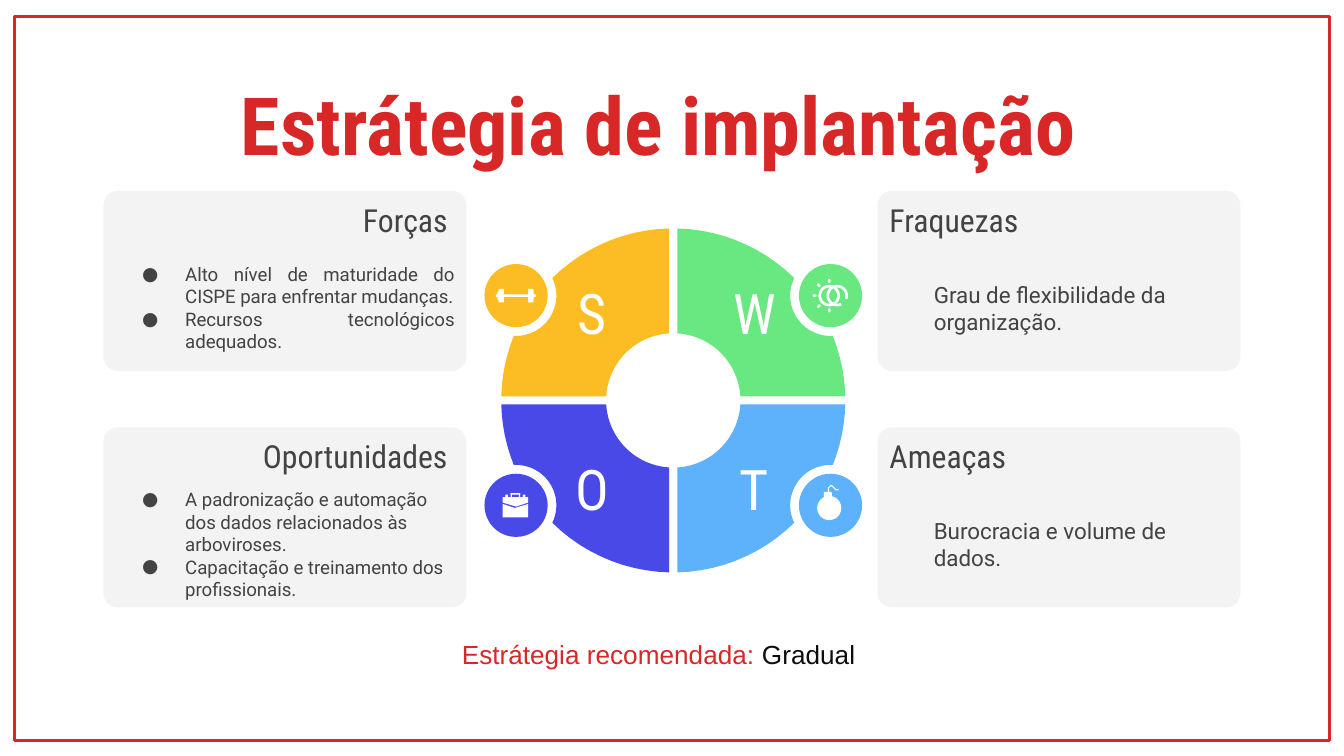
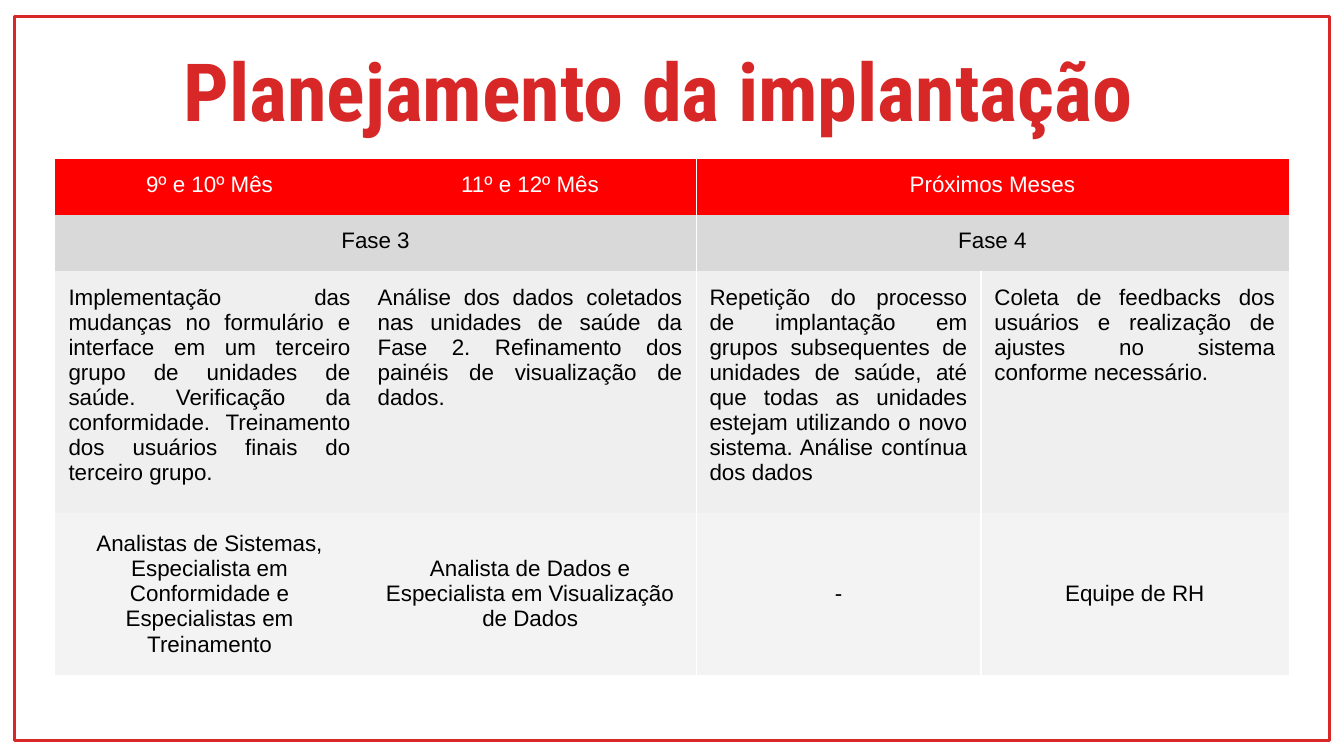
import math
from lxml import etree
from pptx import Presentation
from pptx.dml.color import RGBColor
from pptx.enum import shapes, text
from pptx.oxml import ns
from pptx.util import Inches, Pt

COLORS = {
    "red": "D82727", "header": "FF0000", "phase": "D9D9D9", "task": "EFEFEF",
    "panel": "F3F3F3", "ink": "434343", "dark": "0D0D0D", "black": "000000",
    "white": "FFFFFF", "yellow": "FCBD24", "green": "69E781",
    "indigo": "4949E7", "blue": "5EB2FC",
}
HEAD, BODY, PLAIN = "Roboto Condensed", "Roboto", "Arial"
AL, MID = text.PP_ALIGN, text.MSO_ANCHOR.MIDDLE
SHAPE = shapes.MSO_SHAPE

# letter, colour, side (-1 left, 1 right), level (1 top, -1 bottom), heading, lines, alignment
SWOT = [
    ("T", "blue", 1, -1, "Ameaças", ["Burocracia e volume de dados."], AL.LEFT),
    ("W", "green", 1, 1, "Fraquezas", ["Grau de flexibilidade da organização."], AL.LEFT),
    ("O", "indigo", -1, -1, "Oportunidades",
     ["A padronização e automação dos dados relacionados às arboviroses.",
      "Capacitação e treinamento dos profissionais."], AL.LEFT),
    ("S", "yellow", -1, 1, "Forças",
     ["Alto nível de maturidade do CISPE para enfrentar mudanças.",
      "Recursos tecnológicos adequados."], AL.JUSTIFY),
]
STRATEGY = [("Estrátegia recomendada: ", "red"), ("Gradual", "dark")]

# fill, font colour, alignment, anchor, cells as (text, columns spanned)
PLAN = [
    ("header", "white", AL.CENTER, None,
     [("9º e 10º Mês", 1), ("11º e 12º Mês", 1), ("Próximos Meses", 2)]),
    ("phase", "black", AL.CENTER, None, [("Fase 3", 2), ("Fase 4", 2)]),
    ("task", "black", AL.JUSTIFY, None, [
        ("Implementação das mudanças no formulário e interface em um terceiro grupo de "
         "unidades de saúde. Verificação da conformidade. Treinamento dos usuários finais "
         "do terceiro grupo.", 1),
        ("Análise dos dados coletados nas unidades de saúde da Fase 2. Refinamento dos "
         "painéis de visualização de dados.", 1),
        ("Repetição do processo de implantação em grupos subsequentes de unidades de saúde, "
         "até que todas as unidades estejam utilizando o novo sistema. Análise contínua "
         "dos dados", 1),
        ("Coleta de feedbacks dos usuários e realização de ajustes no sistema conforme "
         "necessário.", 1)]),
    ("panel", "black", AL.CENTER, MID, [
        ("Analistas de Sistemas, Especialista em Conformidade e Especialistas em "
         "Treinamento", 1),
        ("Analista de Dados e Especialista em Visualização de Dados", 1),
        ("-", 1), ("Equipe de RH", 1)]),
]
PLAN_COLS, PLAN_ROW = [2.3, 2.47, 2.12, 2.29], 0.42

# ring geometry: centre, radii, half gap, and the badge offset from the centre
CX, CY = 5.01, 2.98
OUTER, INNER, HALF_GAP = 1.28, 0.5, 0.03
BADGE_X, BADGE_Y, BADGE_SIZE, NOTCH = 1.17, 0.78, 0.47, 0.3

DUMBBELL = [(3.69, 2.19, 0.3, 0.02), (3.71, 2.15, 0.04, 0.1), (3.93, 2.15, 0.04, 0.1),
            (3.7, 2.17, 0.02, 0.06), (3.95, 2.17, 0.02, 0.06)]
CASE_HANDLE = [(3.8, 3.67, 0.07, 0.01), (3.8, 3.67, 0.01, 0.04), (3.86, 3.67, 0.01, 0.04),
               (3.76, 3.68, 0.02, 0.03), (3.89, 3.68, 0.02, 0.03)]
CASE_LID = [(3.74, 3.7), (3.93, 3.7), (3.93, 3.74), (3.84, 3.77), (3.74, 3.74)]
CASE_BODY = [(3.74, 3.75), (3.83, 3.78), (3.93, 3.75), (3.93, 3.85), (3.74, 3.85)]
BOMB_FUSE = [(6.16, 3.66), (6.16, 3.63), (6.18, 3.61), (6.19, 3.61), (6.21, 3.63),
             (6.22, 3.64), (6.24, 3.64), (6.24, 3.65), (6.22, 3.65), (6.2, 3.63),
             (6.19, 3.62), (6.18, 3.62), (6.17, 3.63), (6.17, 3.66)]


def rgb(name):
    return RGBColor.from_string(COLORS[name])


def paint(sp, fill):
    sp.shadow.inherit = False
    sp.fill.solid()
    sp.fill.fore_color.rgb = rgb(fill)
    sp.line.fill.background()
    return sp


def add_preset(s, kind, x, y, w, h, fill):
    return paint(s.shapes.add_shape(kind, Inches(x), Inches(y), Inches(w), Inches(h)), fill)


def add_polygon(s, points, fill):
    pts = [(Inches(x), Inches(y)) for x, y in points]
    builder = s.shapes.build_freeform(*pts[0])
    builder.add_line_segments(pts[1:], close=True)
    return paint(builder.convert_to_shape(), fill)


def arc(x, y, radius, start, end):
    """Points along an arc, in degrees counted counterclockwise with y upward."""
    steps = max(2, math.ceil(abs(end - start) / 4))
    angles = [math.radians(start + (end - start) * i / steps) for i in range(steps + 1)]
    return [(x + radius * math.cos(a), y + radius * math.sin(a)) for a in angles]


def add_run(p, words, size, font, color, bold=False):
    r = p.add_run()
    r.text = words
    r.font.size, r.font.name, r.font.bold = Pt(size), font, bold
    r.font.color.rgb = rgb(color)


def set_frame(tf, anchor=None, left=0.1, right=0.1):
    tf.word_wrap = True
    tf.margin_top = tf.margin_bottom = Inches(0.1)
    tf.margin_left, tf.margin_right = Inches(left), Inches(right)
    tf.vertical_anchor = anchor or text.MSO_ANCHOR.TOP
    return tf


def add_text(s, x, y, w, h, anchor=None):
    box = s.shapes.add_textbox(Inches(x), Inches(y), Inches(w), Inches(h))
    return set_frame(box.text_frame, anchor)


def add_bullet(p, color, size):
    pPr = p._p.get_or_add_pPr()
    pPr.set("marL", str(Inches(0.5)))
    pPr.set("indent", str(Inches(-0.32)))
    clr = etree.SubElement(pPr, ns.qn("a:buClr"))
    etree.SubElement(clr, ns.qn("a:srgbClr"), val=COLORS[color])
    etree.SubElement(pPr, ns.qn("a:buSzPts"), val=str(size * 100))
    etree.SubElement(pPr, ns.qn("a:buFont"), typeface=BODY)
    etree.SubElement(pPr, ns.qn("a:buChar"), char="●")


def new_slide(prs, title, title_top):
    s = prs.slides.add_slide(prs.slide_layouts[6])
    frame = add_preset(s, SHAPE.RECTANGLE, 0.11, 0.12, 9.78, 5.39, "white")
    frame.fill.background()
    frame.line.color.rgb, frame.line.width = rgb("red"), Pt(1.5)
    p = add_text(s, 0.68, title_top, 8.43, 0.77).paragraphs[0]
    p.alignment, p.line_spacing = AL.CENTER, 1.15
    add_run(p, title, 43, HEAD, "red", True)
    return s


def quadrant_points(side, level):
    """Outline of a ring quarter with a round notch for its badge."""
    reach = math.hypot(BADGE_X, BADGE_Y)
    aim = math.degrees(math.atan2(BADGE_Y, BADGE_X))
    half = math.degrees(math.acos((OUTER**2 + reach**2 - NOTCH**2) / (2 * OUTER * reach)))
    bite = 180 - math.degrees(math.acos((reach**2 + NOTCH**2 - OUTER**2) / (2 * reach * NOTCH)))
    out_edge, in_edge = (math.degrees(math.asin(HALF_GAP / r)) for r in (OUTER, INNER))
    local = (arc(0, 0, OUTER, 90 - out_edge, aim + half)
             + arc(BADGE_X, BADGE_Y, NOTCH, aim + bite, aim + 360 - bite)
             + arc(0, 0, OUTER, aim - half, out_edge)
             + arc(0, 0, INNER, in_edge, 90 - in_edge))
    return [(CX + side * x, CY - level * y) for x, y in local]


def add_quadrant(s, letter, color, side, level, heading, lines, align):
    sp = add_polygon(s, quadrant_points(side, level), color)
    tf = set_frame(sp.text_frame, MID, *((0.1, 0.2) if side > 0 else (0.2, 0.1)))
    tf.paragraphs[0].alignment = AL.CENTER
    add_run(tf.paragraphs[0], letter, 30, HEAD, "white")
    add_preset(s, SHAPE.OVAL, CX + side * BADGE_X - BADGE_SIZE / 2,
               CY - level * BADGE_Y - BADGE_SIZE / 2, BADGE_SIZE, BADGE_SIZE, color)

    left, top = side < 0, 1.42 if level > 0 else 3.18
    panel = add_preset(s, SHAPE.ROUNDED_RECTANGLE, 0.77 if left else 6.53, top, 2.7, 1.34, "panel")
    panel.adjustments[0] = 0.08
    p = add_text(s, 1.37 if left else 6.52, top - 0.02, 2.06, 0.47, MID).paragraphs[0]
    p.alignment = AL.RIGHT if left else AL.LEFT
    add_run(p, heading, 17, HEAD, "ink")
    size = 10 if left else 12
    tf = add_text(s, 0.78 if left else 6.85, top + 0.45, 2.7 if left else 2.06, 0.84, MID)
    for i, line in enumerate(lines):
        p = tf.add_paragraph() if i else tf.paragraphs[0]
        p.alignment = align
        if left:
            add_bullet(p, "ink", size)
        add_run(p, line, size, BODY, "ink")


def add_icons(s):
    for bar in DUMBBELL + CASE_HANDLE:
        add_preset(s, SHAPE.RECTANGLE, *bar, "white")
    for outline in (CASE_LID, CASE_BODY, BOMB_FUSE):
        add_polygon(s, outline, "white")
    add_preset(s, SHAPE.OVAL, 6.08, 3.69, 0.18, 0.18, "white")
    add_preset(s, SHAPE.ROUNDED_RECTANGLE, 6.13, 3.66, 0.06, 0.05, "white")

    ring_y = CY - BADGE_Y
    for ring_x, start, end in ((6.17, 0, 360), (6.23, -20, 295)):
        band = arc(0, 0, 0.08, start, end) + arc(0, 0, 0.06, end, start)
        add_polygon(s, [(ring_x + x, ring_y - y) for x, y in band], "white")
    ray_w, ray_h, ray_reach = 0.03, 0.02, 0.11
    for angle in range(90, 271, 45):
        x = 6.17 + ray_reach * math.cos(math.radians(angle))
        y = ring_y - ray_reach * math.sin(math.radians(angle))
        ray = add_preset(s, SHAPE.ROUNDED_RECTANGLE, x - ray_w / 2, y - ray_h / 2,
                         ray_w, ray_h, "white")
        ray.adjustments[0] = 0.5
        ray.rotation = -angle


def add_border(cell, edge):
    ln = etree.Element(ns.qn("a:" + edge), w=str(Pt(0.75)))
    fill = etree.SubElement(ln, ns.qn("a:solidFill"))
    etree.SubElement(fill, ns.qn("a:srgbClr"), val=COLORS["white"])
    cell._tc.get_or_add_tcPr().insert(0, ln)


def add_plan(s):
    table = s.shapes.add_table(len(PLAN), len(PLAN_COLS), Inches(0.41), Inches(1.18),
                               Inches(sum(PLAN_COLS)), Inches(PLAN_ROW * len(PLAN))).table
    table.first_row = table.horz_banding = False
    style = table._tbl.tblPr.find(ns.qn("a:tableStyleId"))
    style.text = "{2D5ABB26-0587-4C30-8999-92F81FD0307C}"
    for column, width in zip(table.columns, PLAN_COLS):
        column.width = Inches(width)
    for i, (fill, color, align, anchor, cells) in enumerate(PLAN):
        table.rows[i].height = Inches(PLAN_ROW)
        col = 0
        for words, span in cells:
            cell = table.cell(i, col)
            if span > 1:
                cell.merge(table.cell(i, col + span - 1))
            cell.fill.solid()
            cell.fill.fore_color.rgb = rgb(fill)
            cell.margin_left = cell.margin_right = Inches(0.1)
            cell.margin_top = cell.margin_bottom = Inches(0.1)
            cell.vertical_anchor = anchor
            p = cell.text_frame.paragraphs[0]
            p.alignment = align
            add_run(p, words, 12, PLAIN, color)
            if col + span == 2:
                add_border(cell, "lnR")
            elif col == 2:
                add_border(cell, "lnL")
            col += span


def main():
    prs = Presentation()
    prs.slide_width = Inches(10)
    prs.slide_height = prs.slide_width * 9 // 16

    s = new_slide(prs, "Estrátegia de implantação", 0.35)
    for quadrant in SWOT:
        add_quadrant(s, *quadrant)
    add_icons(s)
    p = add_text(s, 2.3, 4.65, 5.2, 0.69).paragraphs[0]
    p.alignment = AL.CENTER
    for words, color in STRATEGY:
        add_run(p, words, 14, PLAIN, color)

    s = new_slide(prs, "Planejamento da implantação", 0.1)
    add_plan(s)
    prs.save("out.pptx")


if __name__ == "__main__":
    main()
